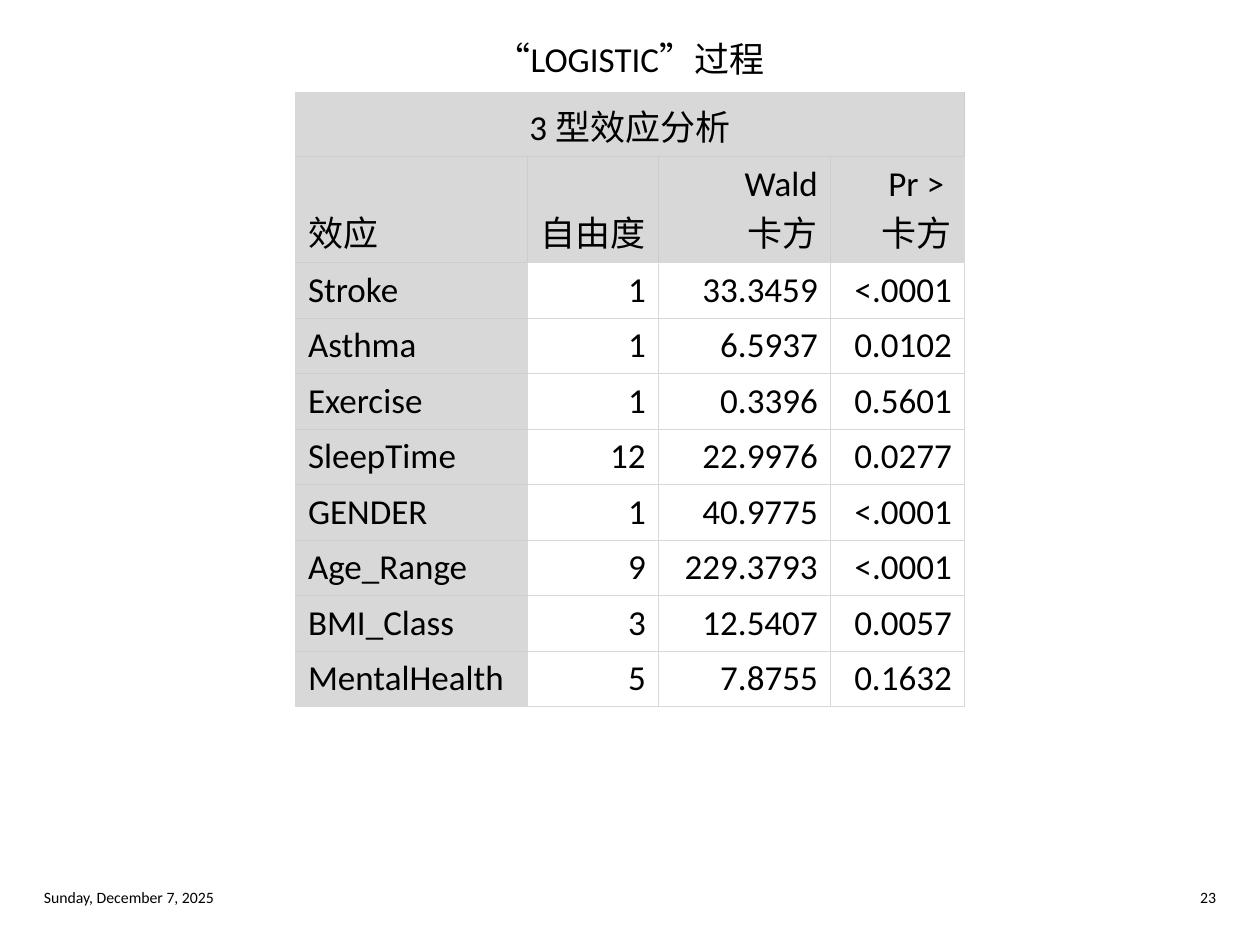
import lxml.etree
import pptx
import pptx.dml.color
import pptx.enum.text
import pptx.oxml.ns
import pptx.util

ALIGN = pptx.enum.text.PP_ALIGN
ANCHOR = pptx.enum.text.MSO_ANCHOR
BLACK = "000000"
HEADER_FILL = "D8D8D8"
OUTER_BORDER = "D8D8D8"
INNER_BORDER = "CCCCCC"

TITLE = "3 型效应分析"
COLUMN_WIDTHS = [132.5, 74.9, 98.4, 76.6]
TITLE_ROW_HEIGHT = 36.4
HEADER_ROW_HEIGHT = 60.7
DATA_ROW_HEIGHT = 31.72
ROWS = [
    [TITLE, "", "", ""],
    ["效应", "自由度", "Wald\v卡方", "Pr > \v卡方"],
    ["Stroke", "1", "33.3459", "<.0001"],
    ["Asthma", "1", "6.5937", "0.0102"],
    ["Exercise", "1", "0.3396", "0.5601"],
    ["SleepTime", "12", "22.9976", "0.0277"],
    ["GENDER", "1", "40.9775", "<.0001"],
    ["Age_Range", "9", "229.3793", "<.0001"],
    ["BMI_Class", "3", "12.5407", "0.0057"],
    ["MentalHealth", "5", "7.8755", "0.1632"],
]


def color(value):
    """Return the RGB colour for a hex string."""
    return pptx.dml.color.RGBColor.from_string(value)


def write_text(text_frame, text, size, align):
    """Put text in a frame and format its paragraph."""
    text_frame.text = text
    paragraph = text_frame.paragraphs[0]
    paragraph.alignment = align
    paragraph.font.name = "Calibri"
    paragraph.font.size = pptx.util.Pt(size)
    paragraph.font.color.rgb = color(BLACK)


def add_text(slide, text, box, size, align, anchor):
    """Add a wrapped text box given left, top, width and height in points."""
    shape = slide.shapes.add_textbox(*map(pptx.util.Pt, box))
    shape.text_frame.word_wrap = True
    shape.text_frame.vertical_anchor = anchor
    write_text(shape.text_frame, text, size, align)


def set_borders(cell, colors):
    """Draw the left, right, top and bottom borders of a cell."""
    properties = cell._tc.get_or_add_tcPr()
    for index, (side, value) in enumerate(zip("LRTB", colors)):
        line = lxml.etree.Element(
            pptx.oxml.ns.qn(f"a:ln{side}"), w=str(pptx.util.Pt(0.5))
        )
        fill = lxml.etree.SubElement(line, pptx.oxml.ns.qn("a:solidFill"))
        lxml.etree.SubElement(fill, pptx.oxml.ns.qn("a:srgbClr"), val=value)
        properties.insert(index, line)


def format_cell(cell, row, column):
    """Fill and border a cell according to its place in the table."""
    is_header = row < 2 or column == 0
    if is_header:
        cell.fill.solid()
        cell.fill.fore_color.rgb = color(HEADER_FILL)
    else:
        cell.fill.background()
    last_row, last_column = len(ROWS) - 1, len(COLUMN_WIDTHS) - 1
    outer_sides = [column == 0, column == last_column, row == 0, row == last_row]
    set_borders(
        cell,
        [OUTER_BORDER if outer or not is_header else INNER_BORDER for outer in outer_sides],
    )


def add_effects_table(slide, left, top):
    """Add the table of effects with its merged title row."""
    heights = [TITLE_ROW_HEIGHT, HEADER_ROW_HEIGHT]
    heights += [DATA_ROW_HEIGHT] * (len(ROWS) - len(heights))
    box = left, top, sum(COLUMN_WIDTHS), sum(heights)
    table = slide.shapes.add_table(
        len(ROWS), len(COLUMN_WIDTHS), *map(pptx.util.Pt, box)
    ).table
    table.first_row = table.horz_banding = False
    for column, width in zip(table.columns, COLUMN_WIDTHS):
        column.width = pptx.util.Pt(width)
    for row, (texts, height) in enumerate(zip(ROWS, heights)):
        table.rows[row].height = pptx.util.Pt(height)
        for column, text in enumerate(texts):
            cell = table.cell(row, column)
            align = ALIGN.CENTER if row == 0 else ALIGN.RIGHT if column else ALIGN.LEFT
            write_text(cell.text_frame, text, 20, align)
            cell.vertical_anchor = ANCHOR.BOTTOM if row < 2 else ANCHOR.TOP
            format_cell(cell, row, column)
    table.cell(0, 0).merge(table.cell(0, len(COLUMN_WIDTHS) - 1))


def main():
    """Build the slide and save it."""
    presentation = pptx.Presentation()
    presentation.slide_width = pptx.util.Pt(720)
    presentation.slide_height = pptx.util.Pt(540)
    slide = presentation.slides.add_slide(presentation.slide_layouts[6])
    add_text(slide, "“LOGISTIC”过程", (18, 18, 684, 30.2), 20, ALIGN.CENTER, ANCHOR.TOP)
    add_effects_table(slide, 168.8, 53)
    add_text(
        slide, "Sunday, December 7, 2025", (18, 503.5, 171, 18.7), 9, ALIGN.LEFT, ANCHOR.MIDDLE
    )
    add_text(slide, "23", (531, 503.5, 171, 18.7), 9, ALIGN.RIGHT, ANCHOR.MIDDLE)
    presentation.save("out.pptx")


if __name__ == "__main__":
    main()
